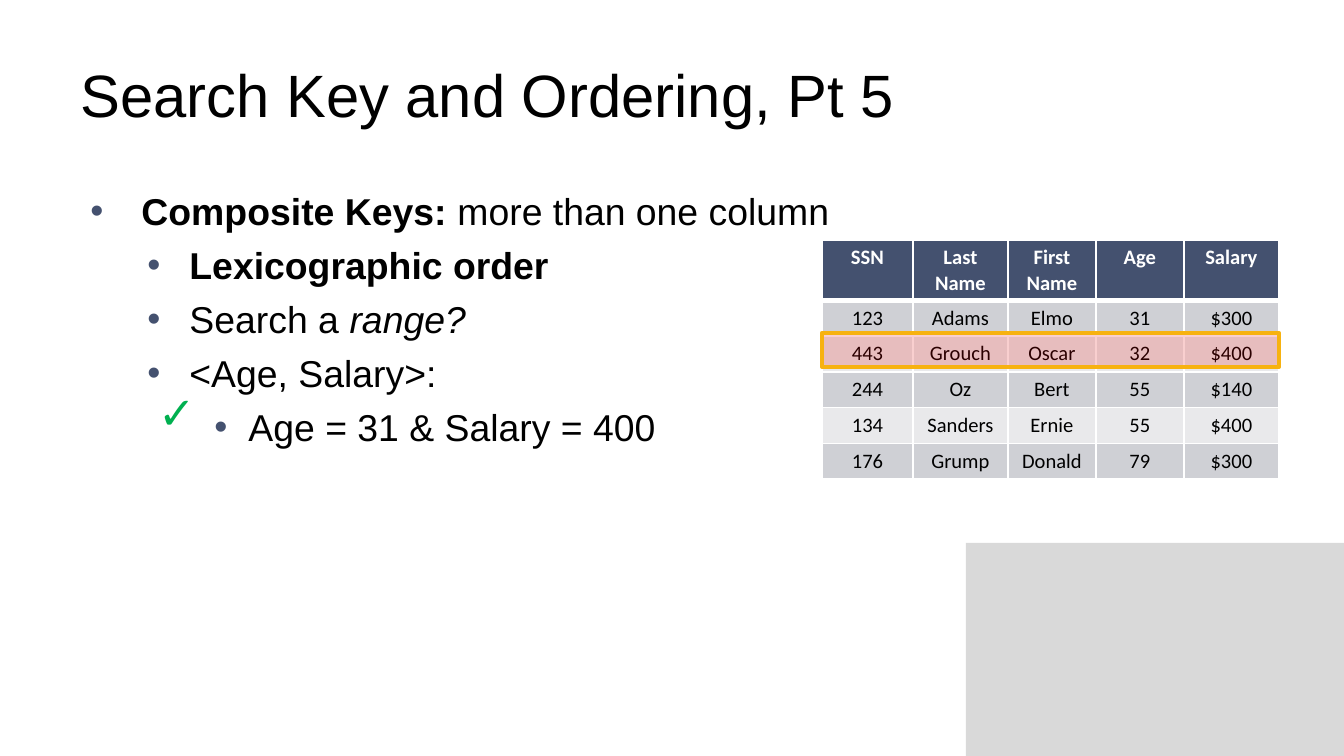
from lxml.etree import SubElement
from pptx import Presentation
from pptx.dml.color import RGBColor
from pptx.enum.shapes import MSO_SHAPE
from pptx.enum.text import MSO_ANCHOR, MSO_AUTO_SIZE, PP_ALIGN
from pptx.oxml.ns import qn
from pptx.util import Emu, Pt

# Content
TITLE = "Search Key and Ordering, Pt 5"
# (level, [(text, style)])
BULLETS = [
    (0, [("Composite Keys: ", "bold"), ("more than one column", "")]),
    (1, [("Lexicographic order", "bold")]),
    (1, [("Search a ", ""), ("range?", "italic")]),
    (1, [("<Age, Salary>:", "")]),
    (2, [("Age = 31 & Salary = 400", "")]),
]
ROWS = [
    ["SSN", "Last Name", "First Name", "Age", "Salary"],
    ["123", "Adams", "Elmo", "31", "$300"],
    ["443", "Grouch", "Oscar", "32", "$400"],
    ["244", "Oz", "Bert", "55", "$140"],
    ["134", "Sanders", "Ernie", "55", "$400"],
    ["176", "Grump", "Donald", "79", "$300"],
]

# Layout in px
COLUMN_WIDTHS = [91, 95, 88, 88, 95]
ROW_HEIGHTS = [60, 35, 36, 35, 36, 35]
INDENTS = [(61, -51), (109, -42), (168, -34)]  # (text, bullet offset) by level
NAVY, WHITE, BLACK = "44516F", "FFFFFF", "000000"
BANDS = ["E9E9EB", "CFD0D5"]


def px(value):
    return Emu(round(value * 914400 / 134.4))


def box(*lengths):
    return [px(length) for length in lengths]


def color(value):
    return RGBColor.from_string(value)


def place(shape, *lengths):
    shape.left, shape.top, shape.width, shape.height = box(*lengths)


def set_font(font, name, size, value):
    font.name, font.size, font.color.rgb = name, Pt(size), color(value)


def add_rectangle(lengths, fill):
    shape = slide.shapes.add_shape(MSO_SHAPE.RECTANGLE, *box(*lengths))
    shape.shadow.inherit = False
    shape.fill.solid()
    shape.fill.fore_color.rgb = color(fill)
    return shape


def add_bullet(paragraph, level):
    properties = paragraph._p.get_or_add_pPr()
    margin, offset = INDENTS[level]
    properties.set("marL", str(px(margin)))
    properties.set("indent", str(px(offset)))
    bullet_color = SubElement(properties, qn("a:buClr"))
    SubElement(bullet_color, qn("a:srgbClr"), val=NAVY)
    SubElement(properties, qn("a:buFont"), typeface="Arial")
    SubElement(properties, qn("a:buChar"), char="•")


def set_borders(cell, bottom_width):
    properties = cell._tc.get_or_add_tcPr()
    for side, width in zip("LRTB", (1, 1, 1, bottom_width)):
        line = SubElement(properties, qn(f"a:ln{side}"), w=str(Pt(width)))
        fill = SubElement(line, qn("a:solidFill"))
        SubElement(fill, qn("a:srgbClr"), val=WHITE)


presentation = Presentation()
presentation.slide_width, presentation.slide_height = box(1344, 756)
slide = presentation.slides.add_slide(presentation.slide_layouts[1])
title, body = slide.placeholders

# Grey corner
add_rectangle((966, 543, 378, 213), "D9D9D9").line.fill.background()

# Employee table
table = slide.shapes.add_table(
    len(ROWS), len(COLUMN_WIDTHS),
    *box(822, 240, sum(COLUMN_WIDTHS), sum(ROW_HEIGHTS))).table
for column, width in zip(table.columns, COLUMN_WIDTHS):
    column.width = px(width)
for row, height in zip(table.rows, ROW_HEIGHTS):
    row.height = px(height)
for i, values in enumerate(ROWS):
    header = i == 0
    for j, value in enumerate(values):
        cell = table.cell(i, j)
        cell.text = value
        cell.margin_left = cell.margin_right = px(9)
        cell.margin_top = cell.margin_bottom = px(5)
        set_borders(cell, 3 if header else 1)
        cell.fill.solid()
        cell.fill.fore_color.rgb = color(NAVY if header else BANDS[i % 2])
        paragraph = cell.text_frame.paragraphs[0]
        paragraph.alignment = PP_ALIGN.CENTER
        set_font(paragraph.font, "Calibri", 11, WHITE if header else BLACK)
        paragraph.font.bold = header

# Title and bullets, in front of the table
for placeholder in (title, body):
    slide.shapes.element.append(placeholder.element)
    placeholder.text_frame.auto_size = MSO_AUTO_SIZE.NONE

place(title, 67, 31, 1210, 126)
title.text_frame.text = TITLE
title.text_frame.vertical_anchor = MSO_ANCHOR.MIDDLE
heading = title.text_frame.paragraphs[0]
heading.alignment = PP_ALIGN.LEFT
set_font(heading.font, "Arial", 32, BLACK)

place(body, 67, 176, 1210, 499)
frame = body.text_frame
frame.margin_top = px(12)
for i, (level, runs) in enumerate(BULLETS):
    paragraph = frame.add_paragraph() if i else frame.paragraphs[0]
    paragraph.level = level
    paragraph.space_before = Pt(5 if i else 0)
    add_bullet(paragraph, level)
    set_font(paragraph.font, "Arial", 20, BLACK)
    for text, style in runs:
        run = paragraph.add_run()
        run.text = text
        run.font.bold = style == "bold"
        run.font.italic = style == "italic"

# Check mark
check = slide.shapes.add_textbox(*box(145, 378, 73, 67))
check.text_frame.word_wrap = False
check.text_frame.text = "✓"
set_font(check.text_frame.paragraphs[0].font, "Calibri", 24, "00B050")

# Highlighted row
highlight = add_rectangle((822, 333, 457, 34), "E20000")
tint = highlight.fill._xPr.find(qn("a:solidFill"))[0]
SubElement(tint, qn("a:alpha"), val="19000")
highlight.line.color.rgb = color("F7B210")
highlight.line.width = Pt(2.25)

presentation.save("out.pptx")
